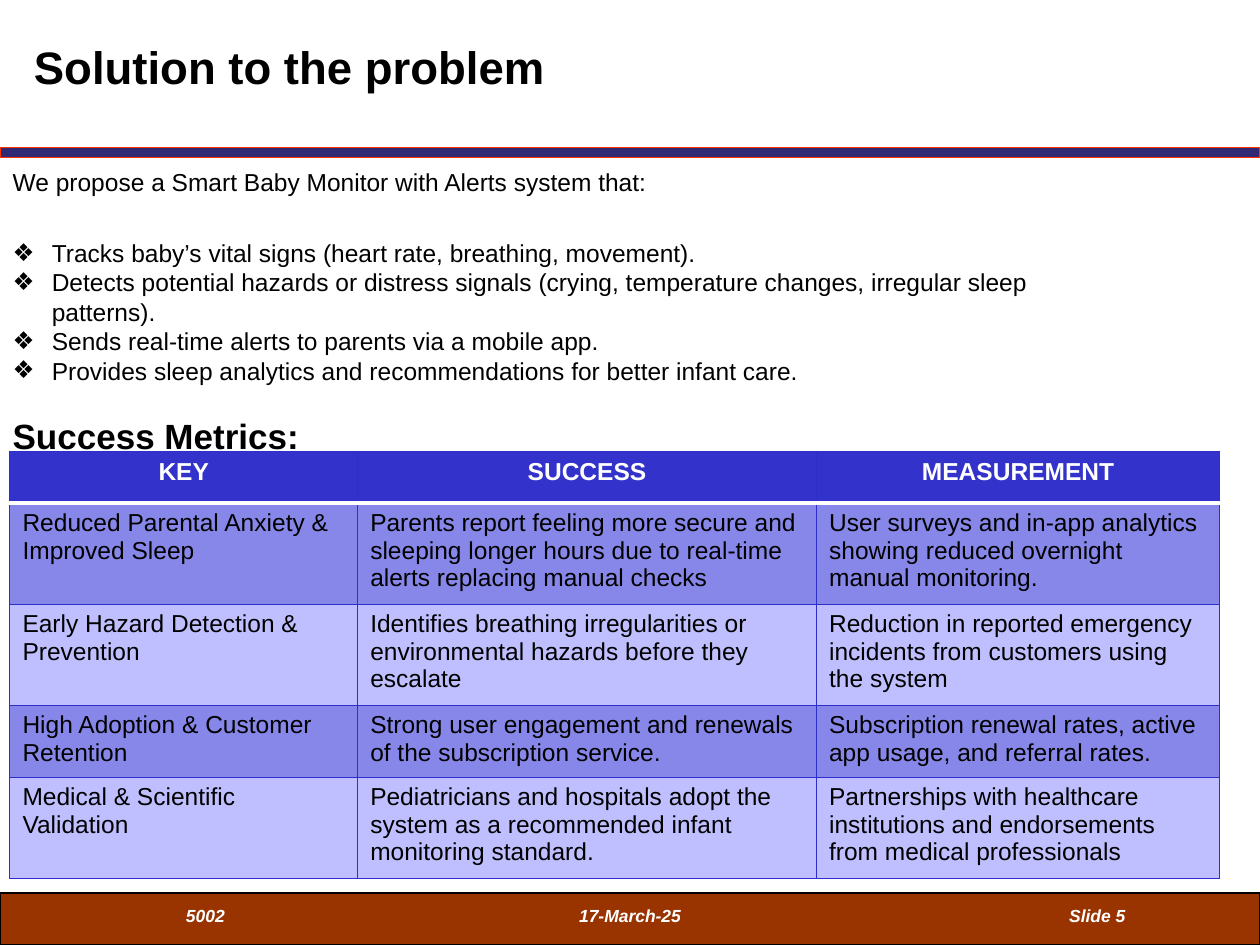
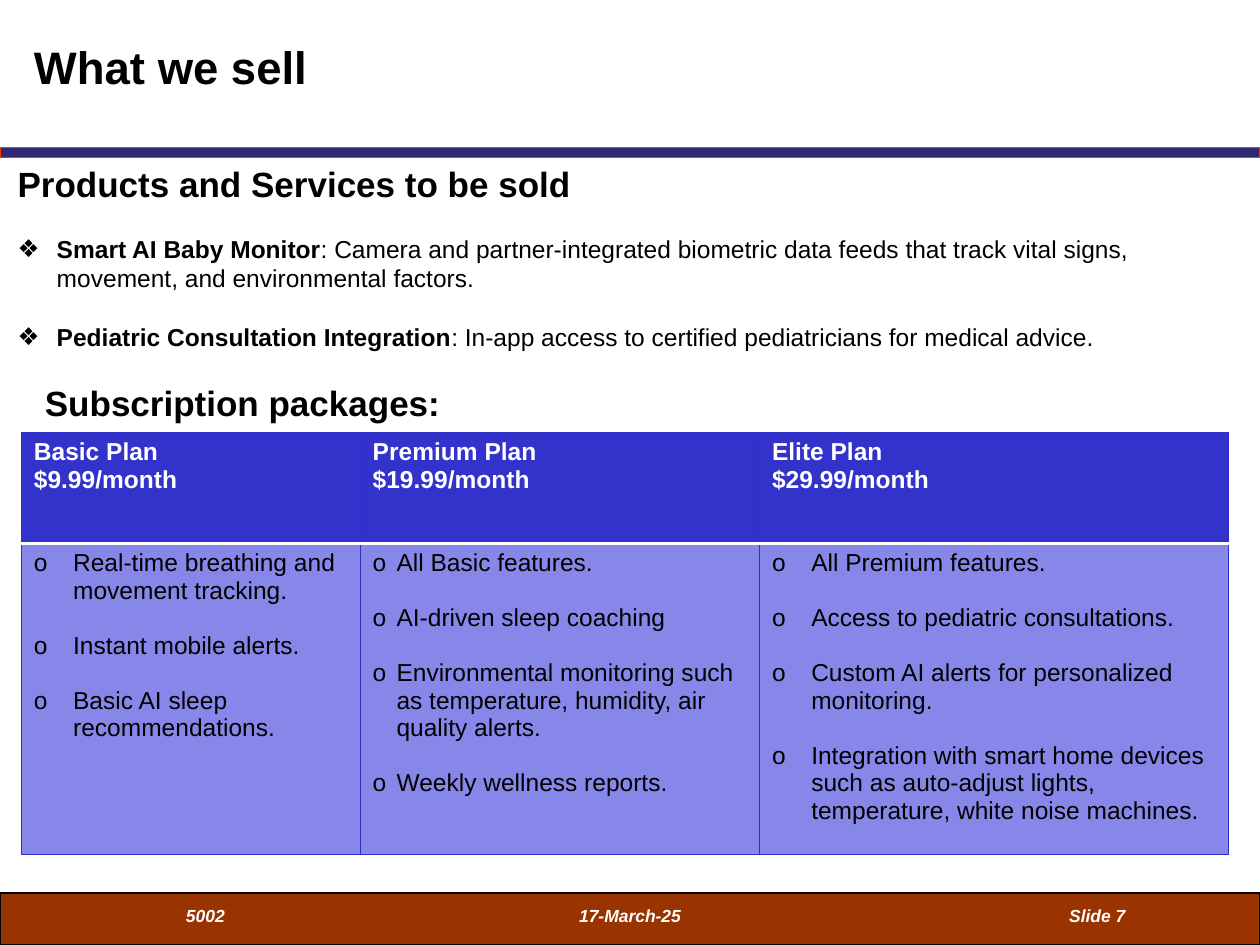
from dataclasses import dataclass
from lxml.etree import SubElement
from pptx import Presentation
from pptx.dml.color import RGBColor
from pptx.enum.shapes import MSO_SHAPE
from pptx.enum.text import MSO_ANCHOR, MSO_AUTO_SIZE, PP_ALIGN
from pptx.oxml import parse_xml
from pptx.oxml.ns import nsdecls, qn
from pptx.util import Cm, Pt


@dataclass(frozen=True)
class Theme:
    font: str = "Arial"
    text: str = "000000"
    light: str = "FFFFFF"
    footer: str = "993300"
    stripe: str = "312873"
    stripe_edge: str = "FF3300"
    header: str = "3333CC"
    bands: tuple = ("8787EA", "BFBFFF")
    grid: str = "2E2ECB"
    title_size: int = 26
    heading_size: int = 20
    body_size: int = 14
    footer_size: int = 10
    heading_line: float = 24
    body_line: float = 16.8
    cell_line: float = 15.7
    hairline: float = 0.75
    header_rule: float = 2


THEME = Theme()
SLIDE_WIDTH, SLIDE_HEIGHT = 25.4, 19.05
WIDE_INDENT, NARROW_INDENT = 0.79, 0.48
HEADING = dict(size=THEME.heading_size, line=THEME.heading_line, bold=True)
DIAMOND = dict(bullet="❖", indent=WIDE_INDENT)

FOOTERS = [
    ("5002", 1.7, 4.88),
    ("17-March-25", 10.26, 4.88),
    ("Slide {number}", 20.95, 2.34),
]

SLIDES = [
    {
        "title": "Solution to the problem",
        "number": 5,
        "body_box": (0, 3.23, 22.5, 7.01),
        "body": [
            ("We propose a Smart Baby Monitor with Alerts system that:", {}),
            ("Tracks baby’s vital signs (heart rate, breathing, movement).", dict(DIAMOND, before=24)),
            ("Detects potential hazards or distress signals (crying, temperature changes, "
             "irregular sleep patterns).", DIAMOND),
            ("Sends real-time alerts to parents via a mobile app.", DIAMOND),
            ("Provides sleep analytics and recommendations for better infant care.", DIAMOND),
            ("Success Metrics:", dict(HEADING, before=THEME.body_line)),
        ],
        "table": {
            "corner": (0.2, 9.11),
            "columns": [7.01, 9.25, 8.13],
            "rows": [1.03, 2.04, 2.04, 1.45, 2.04],
            "header_align": PP_ALIGN.CENTER,
            "header": [["KEY"], ["SUCCESS"], ["MEASUREMENT"]],
            "indents": [0, 0, 0],
            "cells": [
                [["Reduced Parental Anxiety & Improved Sleep"],
                 ["Parents report feeling more secure and sleeping longer hours due to "
                  "real-time alerts replacing manual checks"],
                 ["User surveys and in-app analytics showing reduced overnight manual monitoring."]],
                [["Early Hazard Detection & Prevention"],
                 ["Identifies breathing irregularities or environmental hazards before they escalate"],
                 ["Reduction in reported emergency incidents from customers using the system"]],
                [["High Adoption & Customer Retention"],
                 ["Strong user engagement and renewals of the subscription service."],
                 ["Subscription renewal rates, active app usage, and referral rates."]],
                [["Medical & Scientific Validation"],
                 ["Pediatricians and hospitals adopt the system as a recommended infant "
                  "monitoring standard."],
                 ["Partnerships with healthcare institutions and endorsements from medical "
                  "professionals"]],
            ],
        },
    },
    {
        "title": "What we sell",
        "number": 7,
        "body_box": (0.1, 3.15, 24.74, 5.56),
        "body": [
            ("Products and Services to be sold", HEADING),
            (": Camera and partner-integrated biometric data feeds that track vital signs, "
             "movement, and environmental factors.",
             dict(DIAMOND, before=THEME.body_line, lead="Smart AI Baby Monitor")),
            (": In-app access to certified pediatricians for medical advice.",
             dict(DIAMOND, before=THEME.body_line, lead="Pediatric Consultation Integration")),
            ("Subscription packages:", dict(HEADING, before=THEME.body_line, indent=0.55)),
        ],
        "table": {
            "corner": (0.43, 8.71),
            "columns": [6.83, 8.05, 9.45],
            "rows": [2.24, 6.27],
            "header_align": PP_ALIGN.LEFT,
            "header": [
                ["Basic Plan", "$9.99/month"],
                ["Premium Plan", "$19.99/month"],
                ["Elite Plan", "$29.99/month"],
            ],
            "indents": [WIDE_INDENT, NARROW_INDENT, WIDE_INDENT],
            "cells": [
                [["Real-time breathing and movement tracking.",
                  "Instant mobile alerts.",
                  "Basic AI sleep recommendations."],
                 ["All Basic features.",
                  "AI-driven sleep coaching",
                  "Environmental monitoring such as temperature, humidity, air quality alerts.",
                  "Weekly wellness reports."],
                 ["All Premium features.",
                  "Access to pediatric consultations.",
                  "Custom AI alerts for personalized monitoring.",
                  "Integration with smart home devices such as auto-adjust lights, "
                  "temperature, white noise machines."]],
            ],
        },
    },
]


def color(value):
    return RGBColor.from_string(value)


def set_all(target, values):
    for name, value in values.items():
        setattr(target, name, value)


def place(shape, left, top, width, height):
    set_all(shape, dict(left=Cm(left), top=Cm(top), width=Cm(width), height=Cm(height)))


def add_run(paragraph, text, size, bold=False, italic=False, ink=THEME.text):
    run = paragraph.add_run()
    run.text = text
    set_all(run.font, dict(name=THEME.font, size=Pt(size), bold=bold, italic=italic))
    run.font.color.rgb = color(ink)


def format_paragraph(paragraph, line, before=0, indent=0, bullet=None, align=PP_ALIGN.LEFT):
    set_all(paragraph, dict(alignment=align, line_spacing=line,
                            space_before=Pt(before), space_after=Pt(0)))
    properties = paragraph._p.get_or_add_pPr()
    properties.set("marL", str(Cm(indent)))
    properties.set("indent", str(-Cm(indent) if bullet else 0))
    if bullet:
        bullet_color = SubElement(properties, qn("a:buClr"))
        SubElement(bullet_color, qn("a:srgbClr")).set("val", THEME.text)
        SubElement(properties, qn("a:buFont")).set("typeface", THEME.font)
        SubElement(properties, qn("a:buChar")).set("char", bullet)
    else:
        SubElement(properties, qn("a:buNone"))


def paragraphs_for(frame, entries):
    for index, entry in enumerate(entries):
        yield frame.paragraphs[0] if index == 0 else frame.add_paragraph(), entry


def add_band(slide, top, height, fill, edge):
    shape = slide.shapes.add_shape(MSO_SHAPE.RECTANGLE, 0, Cm(top), Cm(SLIDE_WIDTH), Cm(height))
    shape.shadow.inherit = False
    shape.fill.solid()
    shape.fill.fore_color.rgb = color(fill)
    shape.line.color.rgb = color(edge)
    shape.line.width = Pt(THEME.hairline)


def add_footers(slide, number):
    for text, left, width in FOOTERS:
        box = slide.shapes.add_textbox(Cm(left), Cm(17.78), Cm(width), Cm(1.27))
        set_all(box.text_frame, dict(word_wrap=True, margin_top=Cm(0.51)))
        paragraph = box.text_frame.paragraphs[0]
        format_paragraph(paragraph, 0.93, align=PP_ALIGN.CENTER)
        add_run(paragraph, text.format(number=number), THEME.footer_size, True, True, THEME.light)


def fill_title(shape, text):
    place(shape, 0.43, 0, 24.97, 2.59)
    set_all(shape.text_frame, dict(vertical_anchor=MSO_ANCHOR.MIDDLE, margin_top=Cm(0.2),
                                   auto_size=MSO_AUTO_SIZE.NONE, word_wrap=True))
    paragraph = shape.text_frame.paragraphs[0]
    format_paragraph(paragraph, 1.0)
    add_run(paragraph, text, THEME.title_size, bold=True)


def fill_body(shape, box, entries):
    place(shape, *box)
    set_all(shape.text_frame, dict(vertical_anchor=MSO_ANCHOR.TOP,
                                   auto_size=MSO_AUTO_SIZE.NONE, word_wrap=True))
    for paragraph, (text, style) in paragraphs_for(shape.text_frame, entries):
        format_paragraph(paragraph, Pt(style.get("line", THEME.body_line)), style.get("before", 0),
                         style.get("indent", 0), style.get("bullet"))
        size = style.get("size", THEME.body_size)
        if "lead" in style:
            add_run(paragraph, style["lead"], size, bold=True)
        add_run(paragraph, text, size, style.get("bold", False))


def set_borders(cell, row):
    grid, rule = (THEME.grid, THEME.hairline), (THEME.light, THEME.header_rule)
    edges = dict(L=grid, R=grid, T=rule if row == 1 else grid, B=rule if row == 0 else grid)
    for position, (side, (ink, width)) in enumerate(edges.items()):
        border = parse_xml(
            f'<a:ln{side} {nsdecls("a")} w="{Pt(width)}"><a:solidFill>'
            f'<a:srgbClr val="{ink}"/></a:solidFill></a:ln{side}>')
        cell._tc.get_or_add_tcPr().insert(position, border)


def add_table(slide, data):
    columns, heights = data["columns"], data["rows"]
    left, top = data["corner"]
    table = slide.shapes.add_table(len(heights), len(columns), Cm(left), Cm(top),
                                   Cm(sum(columns)), Cm(sum(heights))).table
    for column, width in zip(table.columns, columns):
        column.width = Cm(width)
    for row, height in zip(table.rows, heights):
        row.height = Cm(height)
    for row, contents in enumerate([data["header"], *data["cells"]]):
        is_header = row == 0
        fill = THEME.header if is_header else THEME.bands[(row - 1) % 2]
        for column, lines in enumerate(contents):
            cell = table.cell(row, column)
            cell.fill.solid()
            cell.fill.fore_color.rgb = color(fill)
            set_borders(cell, row)
            indent = 0 if is_header else data["indents"][column]
            for index, (paragraph, text) in enumerate(paragraphs_for(cell.text_frame, lines)):
                format_paragraph(paragraph, Pt(THEME.cell_line),
                                 THEME.cell_line if indent and index else 0,
                                 indent, "o" if indent else None,
                                 data["header_align"] if is_header else PP_ALIGN.LEFT)
                add_run(paragraph, text, THEME.body_size, is_header,
                        ink=THEME.light if is_header else THEME.text)


def main():
    presentation = Presentation()
    set_all(presentation, dict(slide_width=Cm(SLIDE_WIDTH), slide_height=Cm(SLIDE_HEIGHT)))
    for content in SLIDES:
        slide = presentation.slides.add_slide(presentation.slide_layouts[1])
        add_band(slide, 18, 1.05, THEME.footer, THEME.text)
        add_band(slide, 2.97, 0.2, THEME.stripe, THEME.stripe_edge)
        fill_title(slide.shapes.title, content["title"])
        fill_body(slide.placeholders[1], content["body_box"], content["body"])
        add_footers(slide, content["number"])
        add_table(slide, content["table"])
    presentation.save("out.pptx")


if __name__ == "__main__":
    main()
